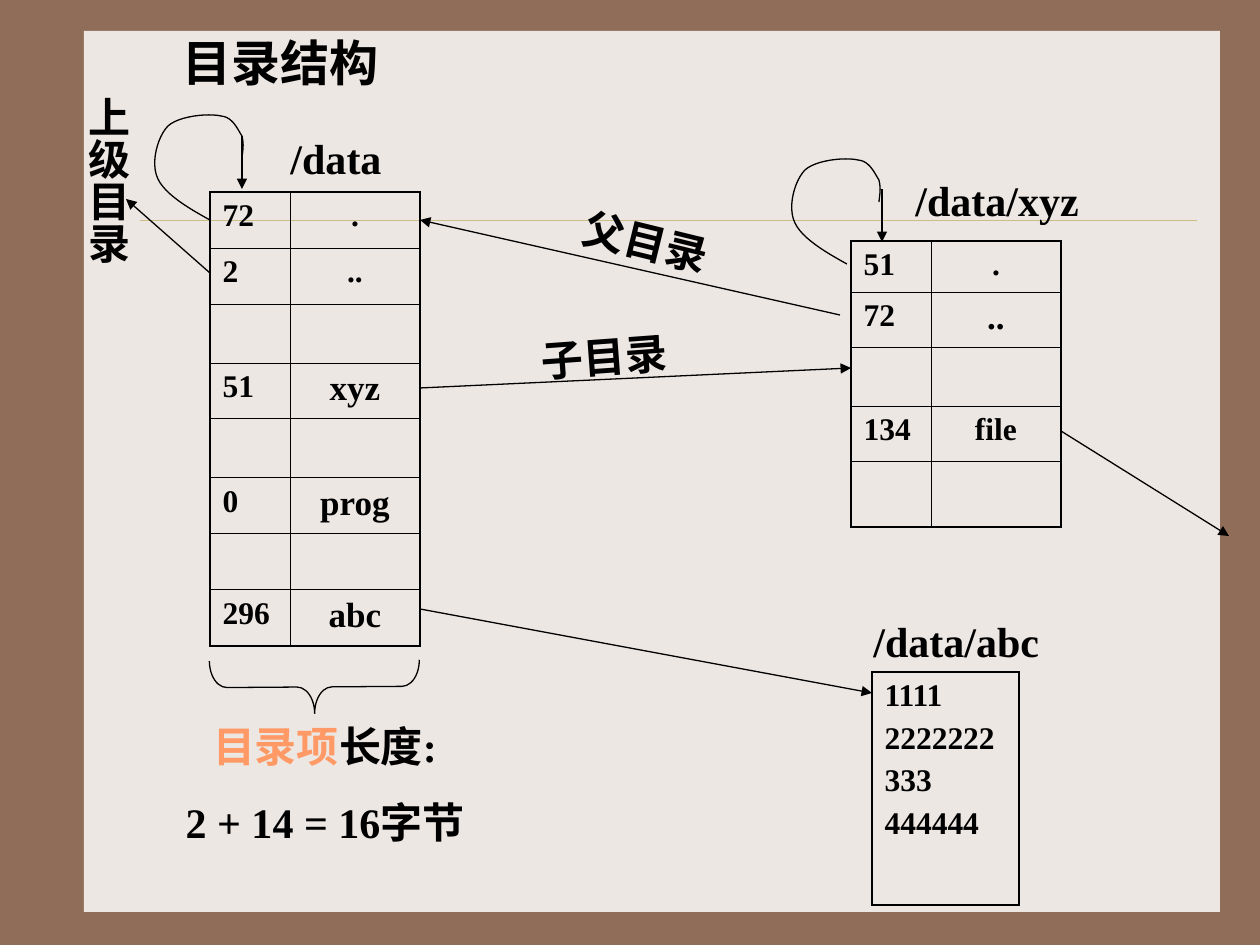
from lxml.etree import SubElement
from pptx import Presentation
from pptx.dml.color import RGBColor
from pptx.enum.shapes import MSO_CONNECTOR, MSO_SHAPE
from pptx.enum.text import MSO_AUTO_SIZE, PP_ALIGN
from pptx.oxml.ns import qn
from pptx.util import Pt

PX = 914400 / 126
INK = "000000"


def color(value):
    return RGBColor.from_string(value)


def write(paragraph, runs, size, align=PP_ALIGN.LEFT):
    paragraph.alignment = align
    for text, ink in runs:
        run = paragraph.add_run()
        run.text = text
        run.font.name = "Times New Roman"
        run.font.size = Pt(size)
        run.font.bold = True
        run.font.color.rgb = color(ink)


presentation = Presentation()
presentation.slide_width = round(1260 * PX)
presentation.slide_height = round(945 * PX)
slide = presentation.slides.add_slide(presentation.slide_layouts[6])
shapes = slide.shapes

# Background and panel
slide.background.fill.solid()
slide.background.fill.fore_color.rgb = color("906D58")
panel = shapes.add_shape(MSO_SHAPE.RECTANGLE, *[round(v * PX) for v in (84, 31, 1136, 881)])
panel.shadow.inherit = False
panel.fill.solid()
panel.fill.fore_color.rgb = color("EDE7E3")
panel.line.fill.background()

# Divider and arrows: start, end, colour, width, arrowhead
lines = [
    (140, 220, 1197, 220, "CBBD83", 0.25, False),
    (210, 273, 126, 199, INK, 0.75, True),
    (242, 136, 242, 189, INK, 0.75, True),
    (882, 189, 882, 242, INK, 0.75, True),
    (840, 315, 420, 220, INK, 0.75, True),
    (420, 388, 851, 368, INK, 0.75, True),
    (420, 609, 872, 693, INK, 0.75, True),
    (1061, 431, 1229, 536, INK, 0.75, True),
]
for *ends, ink, width, arrow in lines:
    connector = shapes.add_connector(MSO_CONNECTOR.STRAIGHT, *[round(v * PX) for v in ends])
    connector.line.color.rgb = color(ink)
    connector.line.width = Pt(width)
    properties = connector._element.spPr
    if arrow:
        SubElement(properties.find(qn("a:ln")), qn("a:tailEnd"), type="triangle")
    SubElement(properties, qn("a:effectLst"))

# Loops from each "." entry back to its own directory
loop_curves = [
    [(210, 220), (188, 208), (165, 194), (158, 179)],
    [(158, 179), (150, 163), (158, 136), (168, 126)],
    [(168, 126), (179, 116), (208, 113), (221, 116)],
    [(221, 116), (233, 117), (238, 130), (242, 136)],
    [(242, 136), (244, 144), (243, 150), (242, 158)],
]
STEPS = 12
for shift_x, shift_y in [(0, 0), (637, 44)]:
    points = []
    for curve in loop_curves:
        for step in range(STEPS + 1):
            t = step / STEPS
            weights = ((1 - t) ** 3, 3 * t * (1 - t) ** 2, 3 * t * t * (1 - t), t ** 3)
            x = shift_x + sum(w * p[0] for w, p in zip(weights, curve))
            y = shift_y + sum(w * p[1] for w, p in zip(weights, curve))
            points.append((round(x * PX), round(y * PX)))
    builder = shapes.build_freeform(*points[0], scale=1.0)
    builder.add_line_segments(points[1:], close=False)
    loop = builder.convert_to_shape()
    loop.shadow.inherit = False
    loop.fill.background()
    loop.line.color.rgb = color(INK)
    loop.line.width = Pt(0.75)

# Brace under the first directory
brace = shapes.add_shape(MSO_SHAPE.RIGHT_BRACE, *[round(v * PX) for v in (288, 582, 53, 210)])
brace.rotation = 89.6
brace.adjustments[0] = 0.33
brace.shadow.inherit = False
brace.fill.background()
brace.line.color.rgb = color(INK)
brace.line.width = Pt(0.75)

# Tables: left, top, column widths, row heights, rows of (text, size)
EMPTY = [("", 18), ("", 18)]
tables = [
    (210, 192, [80, 130], [56, 56, 59, 56, 59, 56, 56, 56], [
        [("72", 18), (".", 18)], [("2", 18), ("..", 18)], EMPTY,
        [("51", 18), ("xyz", 20)], EMPTY,
        [("0", 18), ("prog", 20)], EMPTY, [("296", 18), ("abc", 20)]]),
    (851, 241, [80, 130], [51, 55, 59, 55, 66], [
        [("51", 18), (".", 18)], [("72", 18), ("..", 20)], EMPTY,
        [("134", 18), ("file", 18)], EMPTY]),
    (872, 672, [147], [233], [[("1111\n2222222\n333\n444444", 18)]]),
]
for left, top, widths, heights, rows in tables:
    box = [round(v * PX) for v in (left, top, sum(widths), sum(heights))]
    table = shapes.add_table(len(rows), len(widths), *box).table
    table.first_row = False
    table.horz_banding = False
    for column, width in zip(table.columns, widths):
        column.width = round(width * PX)
    for row, height in zip(table.rows, heights):
        row.height = round(height * PX)
    for r, entries in enumerate(rows):
        for c, (text, size) in enumerate(entries):
            cell = table.cell(r, c)
            frame = cell.text_frame
            for index, line in enumerate(text.split("\n") if text else []):
                paragraph = frame.add_paragraph() if index else frame.paragraphs[0]
                if index:
                    paragraph.space_before = Pt(4.5)
                write(paragraph, [(line, INK)], size, PP_ALIGN.CENTER if c else PP_ALIGN.LEFT)
            outer = {"a:lnL": c == 0, "a:lnR": c == len(widths) - 1,
                     "a:lnT": r == 0, "a:lnB": r == len(rows) - 1}
            cell_properties = cell._tc.get_or_add_tcPr()
            for side, thick in outer.items():
                border = SubElement(cell_properties, qn(side), w=str(Pt(1.08 if thick else 0.45)))
                SubElement(SubElement(border, qn("a:solidFill")), qn("a:srgbClr"), val=INK)
            cell.fill.background()

# Labels: box, rotation, alignment, size, paragraphs of runs
CENTER, LEFT = PP_ALIGN.CENTER, PP_ALIGN.LEFT
labels = [
    ((170, 26, 500, 76), 0, LEFT, 28, [[("目录结构", INK)]]),
    ((63, 84, 76, 210), 0, CENTER, 24, [[("上级目录", INK)]]),
    ((231, 126, 210, 63), 0, CENTER, 24, [[("/data", INK)]]),
    ((903, 168, 357, 63), 0, LEFT, 24, [[("/data/xyz", INK)]]),
    ((861, 609, 294, 63), 0, LEFT, 24, [[("/data/abc", INK)]]),
    ((536, 210, 220, 63), 13.9, CENTER, 24, [[("父目录", INK)]]),
    ((494, 325, 220, 63), 355.8, CENTER, 24, [[("子目录", INK)]]),
    ((136, 714, 378, 140), 0, CENTER, 24,
     [[("目录项", "FF9966"), ("长度:", INK)], [("2 + 14 = 16字节", INK)]]),
]
for box, rotation, align, size, paragraphs in labels:
    label = shapes.add_textbox(*[round(v * PX) for v in box])
    label.rotation = rotation
    frame = label.text_frame
    frame.word_wrap = True
    frame.auto_size = MSO_AUTO_SIZE.SHAPE_TO_FIT_TEXT
    if box[3] > box[2]:  # the tall label reads downwards
        frame._txBody.bodyPr.set("vert", "eaVert")
        frame.margin_left = frame.margin_right = round(6 * PX)
        frame.margin_top = frame.margin_bottom = round(13 * PX)
    for index, runs in enumerate(paragraphs):
        paragraph = frame.add_paragraph() if index else frame.paragraphs[0]
        if index:
            paragraph.space_before = Pt(15)
        write(paragraph, runs, size, align)

presentation.save("out.pptx")
